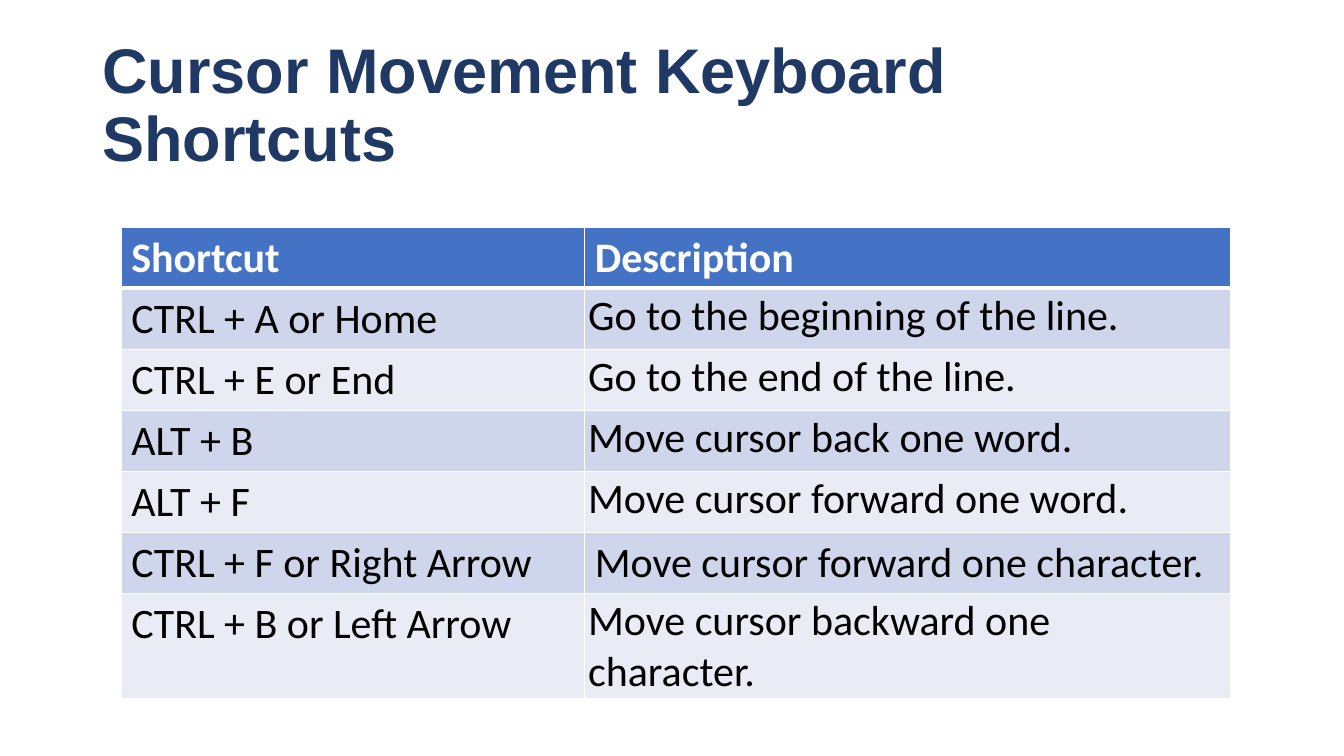
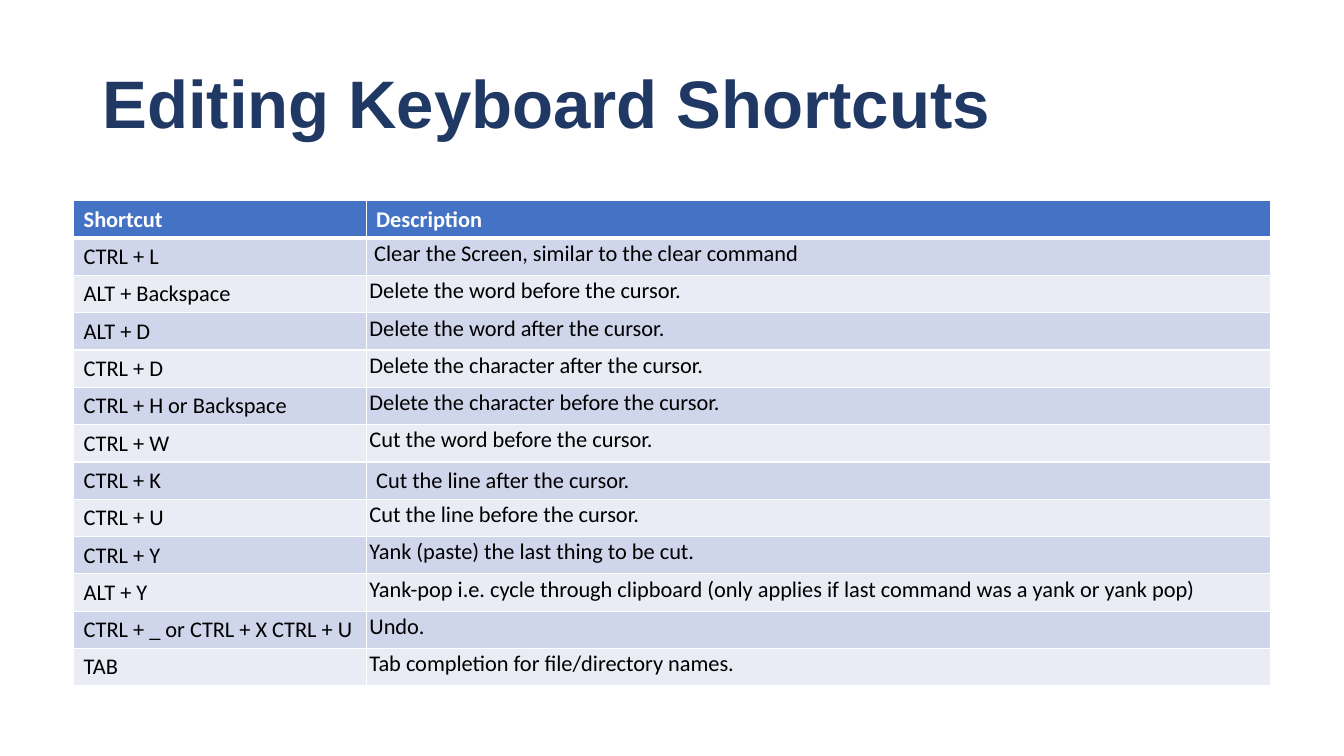
from lxml.etree import SubElement
from pptx import Presentation
from pptx.dml.color import RGBColor
from pptx.enum.text import MSO_ANCHOR
from pptx.oxml.ns import qn
from pptx.util import Cm, Pt

# Shared style
NAVY = RGBColor(0x20, 0x38, 0x64)
BLUE = RGBColor(0x44, 0x72, 0xC4)
BAND_DARK = RGBColor(0xCF, 0xD5, 0xEA)
BAND_LIGHT = RGBColor(0xE9, 0xEB, 0xF5)
WHITE = RGBColor(0xFF, 0xFF, 0xFF)
BLACK = RGBColor(0, 0, 0)
TITLE_FONT = "Arial"
TABLE_FONT = "Calibri"
THIN, THICK = Pt(1), Pt(3)

# Cell insets: left and right, top and bottom, in cm
NORMAL = (0.25, 0.13)
TIGHT = (0.08, 0.05)
INDENTED = (0.2, 0.05)

HEADINGS = ("Shortcut", "Description", NORMAL)

# Content: shortcut, description, insets of the description
CURSOR_ROWS = [
    ("CTRL + A or Home", "Go to the beginning of the line.", TIGHT),
    ("CTRL + E or End", "Go to the end of the line.", TIGHT),
    ("ALT + B", "Move cursor back one word.", TIGHT),
    ("ALT + F", "Move cursor forward one word.", TIGHT),
    ("CTRL + F or Right Arrow", "Move cursor forward one character.", NORMAL),
    ("CTRL + B or Left Arrow", "Move cursor backward one character.", TIGHT),
]
EDITING_ROWS = [
    ("CTRL + L", "Clear the Screen, similar to the clear command", INDENTED),
    ("ALT + Backspace", "Delete the word before the cursor.", TIGHT),
    ("ALT + D", "Delete the word after the cursor.", TIGHT),
    ("CTRL + D", "Delete the character after the cursor.", TIGHT),
    ("CTRL + H or Backspace", "Delete the character before the cursor.", TIGHT),
    ("CTRL + W", "Cut the word before the cursor.", TIGHT),
    ("CTRL + K", "Cut the line after the cursor.", NORMAL),
    ("CTRL + U", "Cut the line before the cursor.", TIGHT),
    ("CTRL + Y", "Yank (paste) the last thing to be cut.", TIGHT),
    ("ALT + Y", "Yank-pop i.e. cycle through clipboard (only applies if last "
                "command was a yank or yank pop)", TIGHT),
    ("CTRL + _ or CTRL + X CTRL + U", "Undo.", TIGHT),
    ("TAB", "Tab completion for file/directory names.", TIGHT),
]
SLIDES = [
    {"title": "Cursor Movement Keyboard Shortcuts", "title_size": 45,
     "rows": CURSOR_ROWS, "text_size": 30, "left": 3.06, "top": 5.72,
     "columns": (11.68, 16.26), "row_height": 1.54},
    {"title": "Editing Keyboard Shortcuts", "title_size": 48,
     "rows": EDITING_ROWS, "text_size": 16, "left": 1.86, "top": 5.06,
     "columns": (7.37, 22.78), "row_height": 0.94},
]


def style_font(font, name, size, color, bold):
    font.name = name
    font.size = Pt(size)
    font.color.rgb = color
    font.bold = bold


def add_title(slide, text, size):
    box = slide.shapes.add_textbox(Cm(2.33), Cm(1.01), Cm(26.78), Cm(3.38))
    frame = box.text_frame
    frame.word_wrap = True
    frame.vertical_anchor = MSO_ANCHOR.MIDDLE
    frame.text = text
    paragraph = frame.paragraphs[0]
    paragraph.line_spacing = 0.9
    style_font(paragraph.runs[0].font, TITLE_FONT, size, NAVY, True)


def set_borders(cell, top, bottom):
    properties = cell._tc.get_or_add_tcPr()
    widths = {"a:lnL": THIN, "a:lnR": THIN, "a:lnT": top, "a:lnB": bottom}
    for tag, width in widths.items():
        line = SubElement(properties, qn(tag), w=str(width))
        fill = SubElement(line, qn("a:solidFill"))
        SubElement(fill, qn("a:srgbClr"), val=str(WHITE))


def fill_cell(cell, text, insets, row_index, size):
    is_header = row_index == 0
    # Borders come before the fill in the cell properties
    set_borders(cell, THICK if row_index == 1 else THIN,
                THICK if is_header else THIN)
    cell.fill.solid()
    band = BAND_DARK if row_index % 2 else BAND_LIGHT
    cell.fill.fore_color.rgb = BLUE if is_header else band
    cell.margin_left = cell.margin_right = Cm(insets[0])
    cell.margin_top = cell.margin_bottom = Cm(insets[1])
    cell.text_frame.text = text
    style_font(cell.text_frame.paragraphs[0].runs[0].font, TABLE_FONT, size,
               WHITE if is_header else BLACK, is_header)


def add_shortcut_table(slide, content):
    rows = [HEADINGS] + content["rows"]
    columns = content["columns"]
    height = Cm(content["row_height"])
    table = slide.shapes.add_table(
        len(rows), len(columns), Cm(content["left"]), Cm(content["top"]),
        Cm(sum(columns)), height * len(rows)).table
    for column, width in zip(table.columns, columns):
        column.width = Cm(width)
    for index, (shortcut, description, insets) in enumerate(rows):
        table.rows[index].height = height
        size = content["text_size"]
        fill_cell(table.cell(index, 0), shortcut, NORMAL, index, size)
        fill_cell(table.cell(index, 1), description, insets, index, size)


def main():
    presentation = Presentation()
    presentation.slide_width = Cm(33.87)
    presentation.slide_height = Cm(19.05)
    blank = presentation.slide_layouts[6]
    for content in SLIDES:
        slide = presentation.slides.add_slide(blank)
        add_title(slide, content["title"], content["title_size"])
        add_shortcut_table(slide, content)
    presentation.save("out.pptx")


if __name__ == "__main__":
    main()
